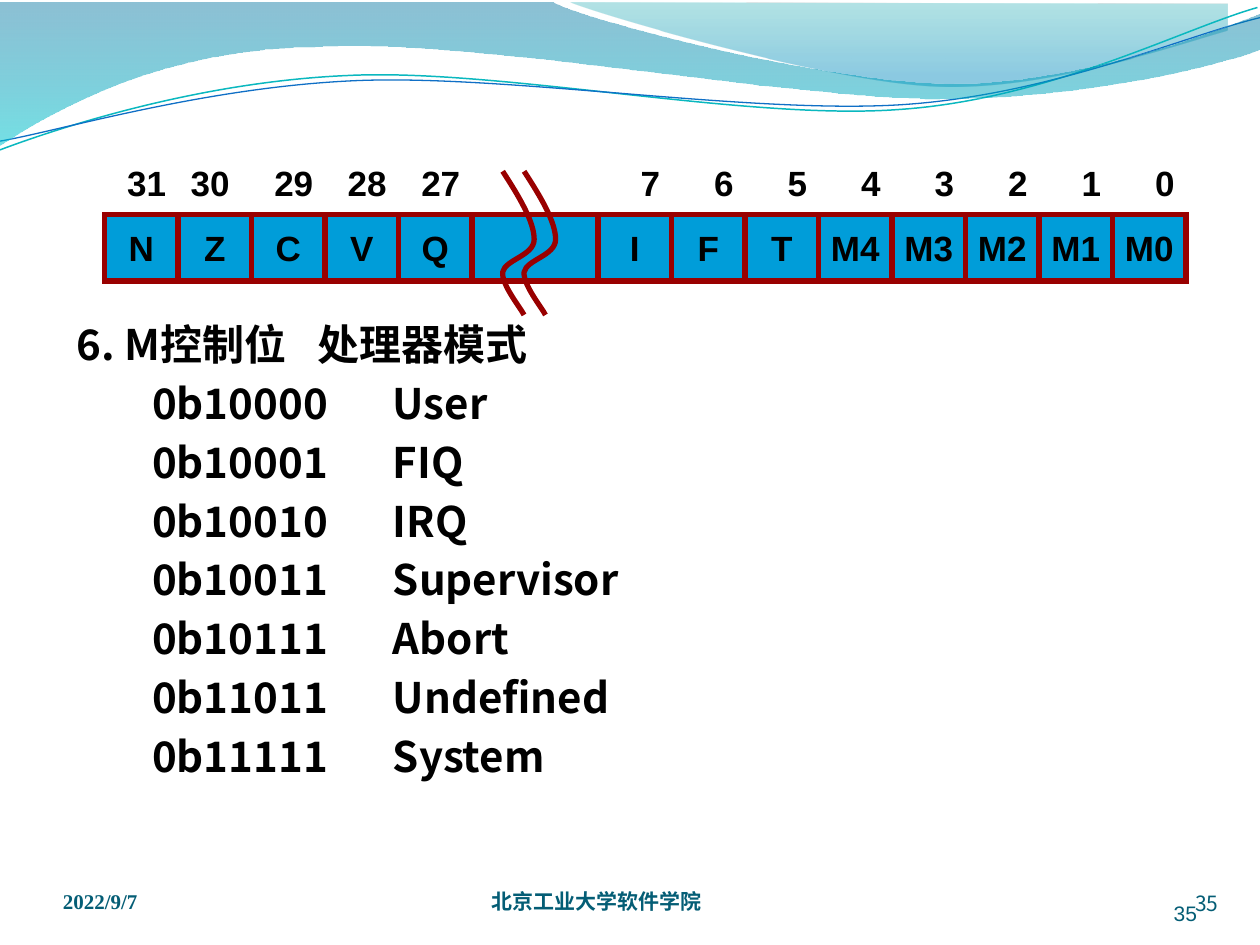
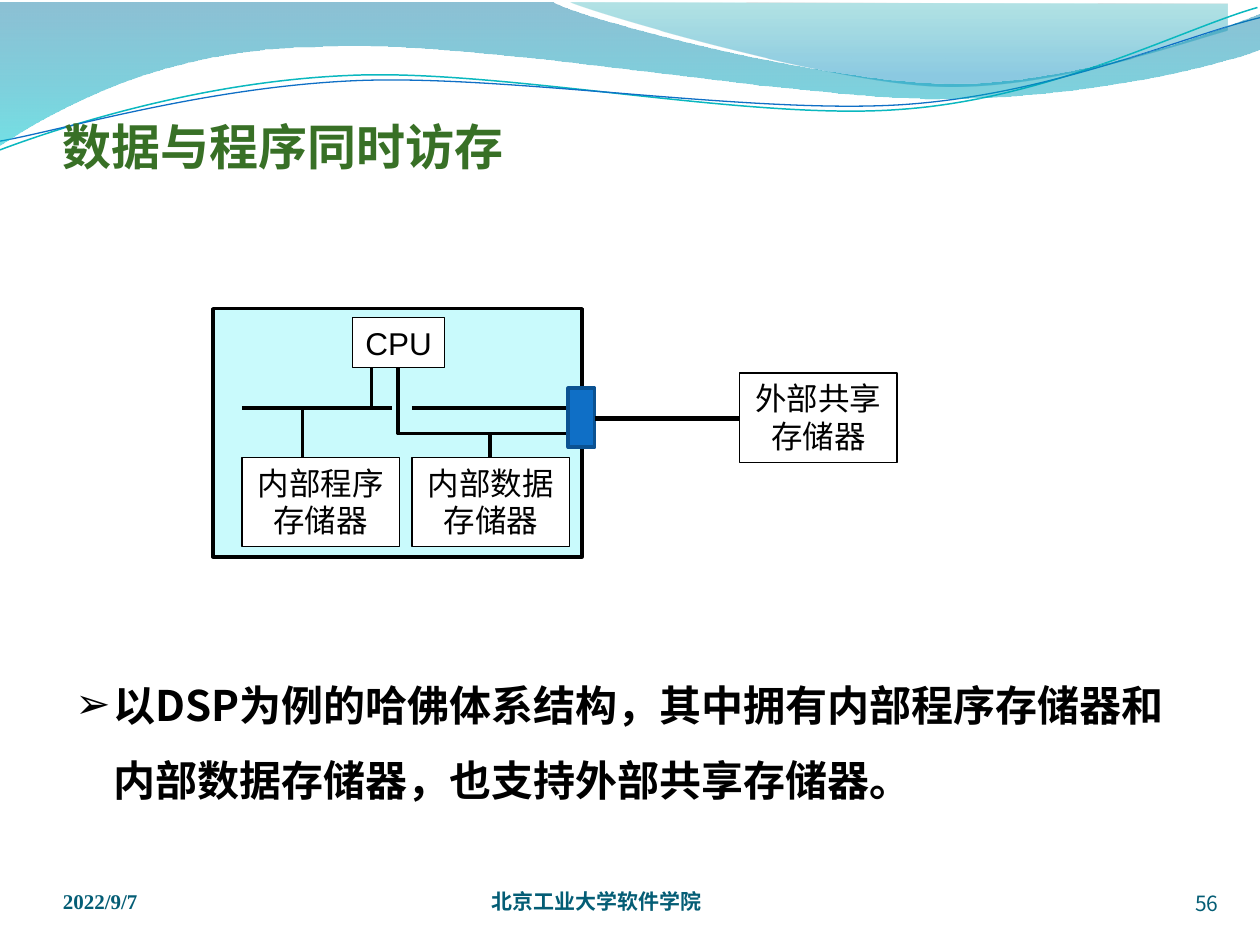
from dataclasses import dataclass

from lxml.etree import SubElement
from pptx import Presentation
from pptx.dml.color import RGBColor
from pptx.enum.shapes import MSO_CONNECTOR, MSO_SHAPE
from pptx.enum.text import MSO_ANCHOR, PP_ALIGN
from pptx.oxml.ns import qn
from pptx.util import Inches, Pt


@dataclass(frozen=True)
class Theme:
    """Colours, fonts and type sizes used on every slide."""
    ink: str = "000000"
    white: str = "FFFFFF"
    title: str = "387026"
    footer: str = "045D75"
    cell: str = "009DD9"
    cell_line: str = "990000"
    chip: str = "C9FAFC"
    port: str = "0F6FC6"
    port_line: str = "0B5292"
    wave_teal: str = "0AB8BF"
    wave_blue: str = "0F6FC6"
    cjk: str = "Noto Sans CJK SC"
    sans: str = "Arial"
    serif: str = "Times New Roman"
    title_size: int = 28
    body_size: int = 24
    cell_size: int = 20
    block_size: int = 18
    footer_size: int = 12


T = Theme()
CELL_W = 7 / 12

LEFT_BITS = [("31", "N"), ("30", "Z"), ("29", "C"), ("28", "V"), ("27", "Q")]
RIGHT_BITS = [("7", "I"), ("6", "F"), ("5", "T"), ("4", "M4"), ("3", "M3"),
              ("2", "M2"), ("1", "M1"), ("0", "M0")]
MODES = [("0b10000", "User"), ("0b10001", "FIQ"), ("0b10010", "IRQ"),
         ("0b10011", "Supervisor"), ("0b10111", "Abort"),
         ("0b11011", "Undefined"), ("0b11111", "System")]

CREST = [(4.53, 0.02),
         (4.83, 0.14, 6.56, 0.64, 7.42, 0.68),
         (8.29, 0.72, 9.35, 0.35, 9.74, 0.24),
         (9.74, 0.03)]
TEAL_LINE = [(0, 1.19),
             (0.48, 1.01, 1.58, 0.65, 2.76, 0.6),
             (3.95, 0.54, 5.92, 0.96, 7.13, 0.87),
             (8.33, 0.79, 9.38, 0.23, 9.98, 0.06)]
BLUE_LINE = [(0, 1.12),
             (0.47, 1.04, 1.63, 0.69, 2.83, 0.64),
             (4.02, 0.59, 5.97, 0.91, 7.17, 0.83),
             (8.36, 0.75, 9.41, 0.28, 10, 0.14)]
BAND = [(-0.01, 0.02), (4.39, 0.02),
        (4.75, 0.19, 6.62, 0.66, 7.57, 0.66),
        (8.52, 0.66, 9.57, 0.28, 9.99, 0.11),
        (10, 0.39),
        (9.82, 0.47, 8.69, 0.78, 7.45, 0.78),
        (6.21, 0.78, 3.81, 0.31, 2.56, 0.37),
        (1.28, 0.38, 0.45, 0.86, -0.02, 1.16)]
BREAK_MARK = [(3.99, 1.36),
              (4.12, 1.56, 4.24, 1.76, 4.24, 1.9),
              (4.24, 2.03, 4.01, 2.06, 3.99, 2.16),
              (3.98, 2.26, 4.13, 2.44, 4.16, 2.5)]


def rgb(value):
    """Return a colour from its hex string."""
    return RGBColor.from_string(value)


def style(p, size, font, color, bold=False):
    """Format all runs of a paragraph."""
    for r in p.runs:
        r.font.size = Pt(size)
        r.font.name = font
        r.font.bold = bold
        r.font.color.rgb = rgb(color)
        SubElement(r._r.get_or_add_rPr(), qn("a:ea"), typeface=font)


def set_line(sp, color, width):
    """Give a shape or connector a solid line."""
    sp.line.color.rgb = rgb(color)
    sp.line.width = Pt(width)


def add_text(slide, box, lines, size, font, color, bold=False,
             align=PP_ALIGN.LEFT, anchor=MSO_ANCHOR.TOP, insets=None):
    """Add a wrapping text box and return its text frame."""
    tf = slide.shapes.add_textbox(*map(Inches, box)).text_frame
    tf.word_wrap = True
    tf.vertical_anchor = anchor
    if insets:
        (tf.margin_left, tf.margin_top,
         tf.margin_right, tf.margin_bottom) = map(Inches, insets)
    tf.text = "\n".join(lines)
    for p in tf.paragraphs:
        p.alignment = align
        style(p, size, font, color, bold)
    return tf


def add_box(slide, box, fill, line, width, text="", size=T.block_size,
            bold=False, anchor=MSO_ANCHOR.TOP, wrap=True):
    """Add an outlined rectangle with centred text."""
    sp = slide.shapes.add_shape(MSO_SHAPE.RECTANGLE, *map(Inches, box))
    sp.shadow.inherit = False
    if fill:
        sp.fill.solid()
        sp.fill.fore_color.rgb = rgb(fill)
    else:
        sp.fill.background()
    set_line(sp, line, width)
    if text:
        tf = sp.text_frame
        tf.word_wrap = wrap
        tf.vertical_anchor = anchor
        tf.text = text
        tf.paragraphs[0].alignment = PP_ALIGN.CENTER
        style(tf.paragraphs[0], size, T.sans, T.ink, bold)
    return sp


def add_outline(slide, path, close=False, dx=0):
    """Add an unfilled freeform of straight and cubic segments."""
    points = [(Inches(seg[i] + dx), Inches(seg[i + 1]))
              for seg in path for i in range(0, len(seg), 2)]
    builder = slide.shapes.build_freeform(*points[0])
    builder.add_line_segments(points[1:], close=close)
    sp = builder.convert_to_shape()
    sp.shadow.inherit = False
    sp.fill.background()
    steps = iter(list(sp._element.spPr.iter(qn("a:lnTo"))))
    for seg in path[1:]:
        step = next(steps)
        if len(seg) == 6:
            step.tag = qn("a:cubicBezTo")
            for _ in range(2):
                extra = next(steps)
                step.append(extra[0])
                extra.getparent().remove(extra)
    return sp


def add_curve(slide, path, color, width, dx=0):
    """Add an open curved line."""
    set_line(add_outline(slide, path, dx=dx), color, width)


def add_wave(slide, path, stops):
    """Add a closed wave with a translucent vertical gradient."""
    sp = add_outline(slide, path, close=True)
    sp.line.fill.background()
    sp.fill.gradient()
    sp.fill.gradient_angle = 270
    for stop, (position, color, _) in zip(sp.fill.gradient_stops, stops):
        stop.position = position
        stop.color.rgb = rgb(color)
    colors = sp._element.spPr.iter(qn("a:srgbClr"))
    for clr, (_, _, opacity) in zip(list(colors), stops):
        SubElement(clr, qn("a:alpha"), val=str(opacity * 1000))


def add_wire(slide, start, end, width=2, kind=MSO_CONNECTOR.STRAIGHT):
    """Add a bus wire, bent once if it is an elbow."""
    cxn = slide.shapes.add_connector(kind, *map(Inches, start + end))
    set_line(cxn, T.ink, width)
    spPr = cxn._element.spPr
    SubElement(spPr, qn("a:effectLst"))
    if kind == MSO_CONNECTOR.ELBOW:
        spPr.find(qn("a:prstGeom")).set("prst", "bentConnector2")


def add_footer(slide, box, text, font, bold=False, align=PP_ALIGN.LEFT):
    """Add one footer item."""
    add_text(slide, box, [text], T.footer_size, font, T.footer, bold, align,
             MSO_ANCHOR.BOTTOM, (0, 0, 0, 0))


def new_slide(prs, number):
    """Add a blank slide with the waves and footers."""
    slide = prs.slides.add_slide(prs.slide_layouts[6])
    add_wave(slide, CREST, [(0, "00A1A9", 30), (0.8, "008BBF", 45)])
    add_curve(slide, TEAL_LINE, T.wave_teal, 0.85)
    add_curve(slide, BLUE_LINE, T.wave_blue, 0.75)
    add_wave(slide, BAND, [(0, "0074A1", 45), (1, "00C6CF", 55)])
    add_footer(slide, (0.5, 6.88, 2.33, 0.37), "2022/9/7", T.serif, True)
    add_footer(slide, (3.9, 6.88, 3.67, 0.37), "北京工业大学软件学院", T.cjk, True)
    add_footer(slide, (8.84, 6.9, 0.83, 0.37), number, T.cjk,
               align=PP_ALIGN.RIGHT)
    return slide


def add_cell(slide, x, width, flag=""):
    """Add one sharp-cornered register cell."""
    sp = add_box(slide, (x, 1.7, width, 0.53), T.cell, T.cell_line, 3, flag,
                 T.cell_size, True, MSO_ANCHOR.MIDDLE, False)
    ln = sp._element.spPr.find(qn("a:ln"))
    SubElement(ln, qn("a:miter"), lim="800000")


def add_bits(slide, bits, left, label_shift):
    """Add a row of register cells with their bit numbers above."""
    for i, (number, flag) in enumerate(bits):
        x = left + i * CELL_W
        add_cell(slide, x, CELL_W, flag)
        shift = -0.08 if number == "30" else label_shift
        add_text(slide, (x + shift, 1.23, 0.67, 0.35), [number], T.cell_size,
                 T.sans, T.ink, True, PP_ALIGN.CENTER)


def build_mode_slide(prs):
    """Build the status register slide."""
    slide = new_slide(prs, "35")
    add_footer(slide, (8.67, 6.95, 0.83, 0.4), "35", T.sans,
               align=PP_ALIGN.RIGHT)
    lines = ["6. M控制位\t处理器模式"] + ["\t".join(mode) for mode in MODES]
    tf = add_text(slide, (0.51, 2.48, 9, 4.35), lines, T.body_size, T.cjk,
                  T.ink, True)
    heading, *modes = tf.paragraphs
    tabs = SubElement(heading._p.get_or_add_pPr(), qn("a:tabLst"))
    SubElement(tabs, qn("a:tab"), pos=str(Inches(1.91)), algn="l")
    for p in modes:
        p.space_before = Pt(4.8)
        pPr = p._p.get_or_add_pPr()
        pPr.set("marL", str(Inches(0.6)))
        pPr.set("defTabSz", str(Inches(1)))
    gap_left = 0.83 + len(LEFT_BITS) * CELL_W
    add_bits(slide, LEFT_BITS, 0.83, 0)
    add_bits(slide, RIGHT_BITS, gap_left + 1, 0.08)
    add_cell(slide, gap_left, 1)
    for dx in (0, 0.17):
        add_curve(slide, BREAK_MARK, T.cell_line, 3, dx)


def build_memory_slide(prs):
    """Build the slide on simultaneous data and program access."""
    slide = new_slide(prs, "56")
    add_box(slide, (1.69, 2.45, 2.93, 1.97), T.chip, T.ink, 2)
    add_text(slide, (0.5, 0.77, 9, 0.62), ["数据与程序同时访存"], T.title_size,
             T.cjk, T.title, True, anchor=MSO_ANCHOR.BOTTOM,
             insets=(0, 0.05, 0, 0))
    tf = add_text(slide, (0.5, 5.14, 9, 1.26),
                  ["以DSP为例的哈佛体系结构，其中拥有内部程序存储器和"
                   "内部数据存储器，也支持外部共享存储器。"],
                  T.body_size, T.cjk, T.ink, True)
    p = tf.paragraphs[0]
    p.line_spacing = 1.5
    pPr = p._p.get_or_add_pPr()
    pPr.set("marL", str(Inches(0.3)))
    pPr.set("indent", str(Inches(-0.3)))
    SubElement(pPr, qn("a:buFont"), typeface=T.sans)
    SubElement(pPr, qn("a:buChar"), char="➢")

    add_box(slide, (2.8, 2.52, 0.73, 0.4), T.white, T.ink, 0.75, "CPU",
            wrap=False)
    for x, y, fill, name in [(1.92, 3.63, T.white, "内部程序存储器"),
                             (3.27, 3.63, T.white, "内部数据存储器"),
                             (5.87, 2.96, None, "外部共享存储器")]:
        add_box(slide, (x, y, 1.25, 0.71), fill, T.ink, 0.75, name)
    for start, end in [((1.92, 3.24), (3.11, 3.24)),
                       ((2.95, 2.92), (2.95, 3.24)),
                       ((2.4, 3.24), (2.4, 3.63)),
                       ((3.27, 3.24), (4.51, 3.24)),
                       ((3.89, 3.44), (3.89, 3.63))]:
        add_wire(slide, start, end)
    add_wire(slide, (4.51, 3.44), (3.16, 2.92), kind=MSO_CONNECTOR.ELBOW)
    add_box(slide, (4.51, 3.08, 0.21, 0.47), T.port, T.port_line, 2)
    add_wire(slide, (4.72, 3.32), (5.87, 3.32), 3)


def main():
    """Build and save the presentation."""
    prs = Presentation()
    prs.slide_width, prs.slide_height = Inches(10), Inches(7.5)
    build_mode_slide(prs)
    build_memory_slide(prs)
    prs.save("out.pptx")


if __name__ == "__main__":
    main()
